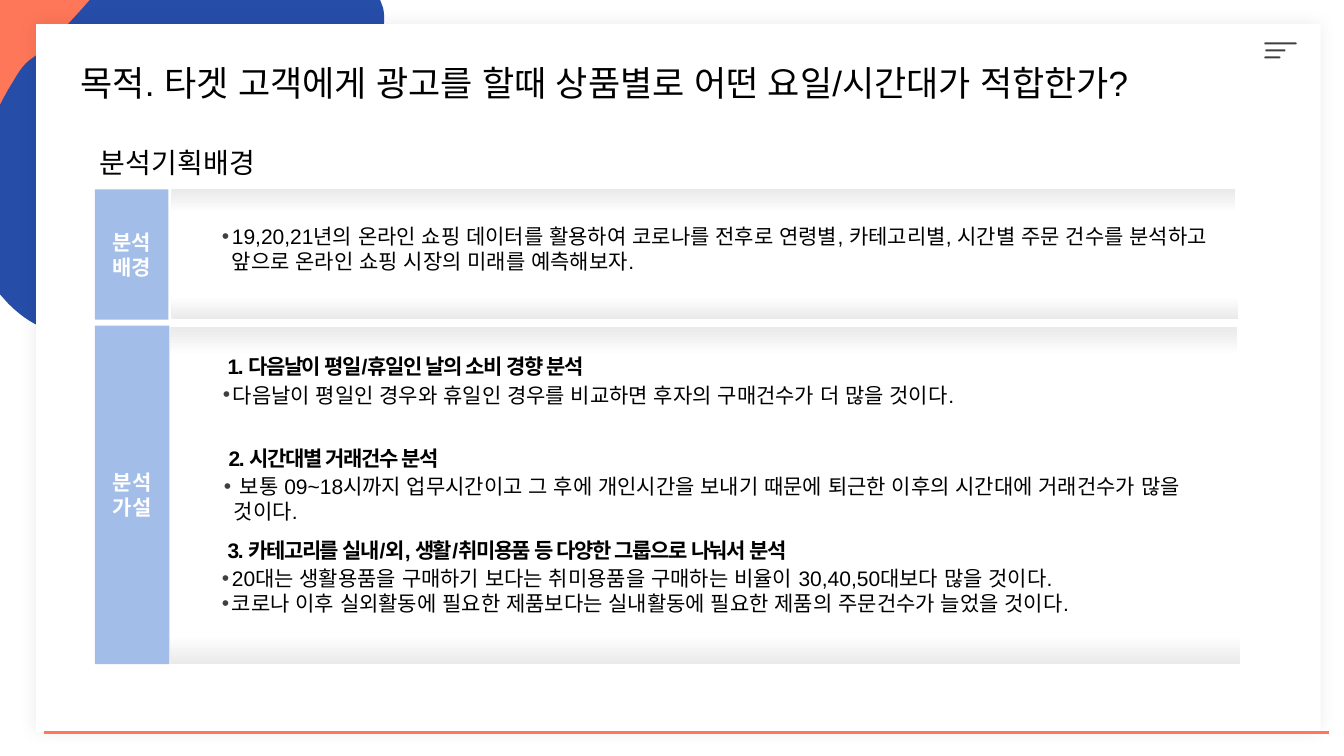
"""Build the slide on the background and hypotheses of a shopping analysis."""
from dataclasses import dataclass

from lxml.etree import SubElement
from pptx import Presentation
from pptx.dml.color import RGBColor
from pptx.enum.shapes import MSO_CONNECTOR as CONNECTOR, MSO_SHAPE as SHAPE
from pptx.enum.text import MSO_ANCHOR as ANCHOR, MSO_AUTO_SIZE as AUTO_SIZE, PP_ALIGN as ALIGN
from pptx.oxml.ns import qn
from pptx.util import Pt

PX = 9144


@dataclass(frozen=True)
class Theme:
    font: str = "Arial"
    text: str = "000000"
    white: str = "FFFFFF"
    bullet: str = "3F3F3F"
    menu: str = "404040"
    orange: str = "FE7759"
    blue: str = "264DA8"
    label: str = "A2BDE8"
    band: str = "EAEAEA"
    title_size: int = 25
    heading_size: int = 20
    body_size: int = 15


THEME = Theme()

TITLE = ("목적. 타겟 고객에게 광고를 할때 상품별로 어떤 요일/시간대가 적합한가?", (70, 56, 1160, 52))
HEADING = ("분석기획배경", (89, 139, 1142, 44))
LISTS = [
    (["19,20,21년의 온라인 쇼핑 데이터를 활용하여 코로나를 전후로 연령별, 카테고리별, 시간별 주문 건수를 "
      "분석하고 앞으로 온라인 쇼핑 시장의 미래를 예측해보자."], (220, 222, 1013, 85), 2.7),
    (["다음날이 평일인 경우와 휴일인 경우를 비교하면 후자의 구매건수가 더 많을 것이다."], (221, 379, 1009, 45), 0),
    ([" 보통 09~18시까지 업무시간이고 그 후에 개인시간을 보내기 때문에 퇴근한 이후의 시간대에 "
      "거래건수가 많을 것이다."], (222, 470, 1004, 45), 0),
    (["20대는 생활용품을 구매하기 보다는 취미용품을 구매하는 비율이 30,40,50대보다 많을 것이다.",
      "코로나 이후 실외활동에 필요한 제품보다는 실내활동에 필요한 제품의 주문건수가 늘었을 것이다."],
     (220, 561, 1004, 96), 0),
]
HYPOTHESES = [
    ("1. 다음날이 평일/휴일인 날의 소비 경향 분석", (216, 346, 817, 35)),
    ("2. 시간대별 거래건수 분석", (217, 437, 814, 35)),
    ("3. 카테고리를 실내/외, 생활/취미용품 등 다양한 그룹으로 나눠서 분석", (216, 528, 1009, 35)),
]
SECTIONS = [
    (["분석", "배경"], (94, 188, 73, 129), [(170, 188, 1055, 24), (170, 294, 1058, 23)]),
    (["분석", "가설"], (94, 323, 74, 336), [(169, 324, 1058, 29), (169, 630, 1061, 29)]),
]
CARD = (36, 24, 1274, 702)
MENU_BARS = [(1254, 42, 32, 2), (1255, 49, 20, 2), (1254, 56, 16, 2)]
BASELINE = (44, 727, 1318, 727)
BLOBS = [
    (THEME.orange, (-1, 0), [
        [(177, 0)], [(178, 3)], [(179, 6), (179, 8), (179, 11)],
        [(176, 55), (72, 150), (30, 181)], [(5, 200), (3, 202), (0, 200)], [(-1, 200)]]),
    (THEME.blue, (89, 0), [
        [(377, 0)], [(380, 8)], [(381, 13), (381, 17), (381, 21)],
        [(377, 85), (221, 227), (160, 273)], [(99, 319), (147, 332), (84, 333)],
        [(45, 333), (23, 316), (8, 301)], [(-1, 291)], [(-1, 106)],
        [(4, 96), (9, 87), (13, 81)], [(27, 56), (31, 61), (44, 48)],
        [(56, 36), (64, 28), (82, 8)]]),
]


def scaled(box):
    return [value * PX for value in box]


def rgb(colour):
    return RGBColor.from_string(colour)


def assign(target, values):
    for name, value in values.items():
        setattr(target, name, value)


def paint(shape, colour):
    shape.shadow.inherit = False
    shape.line.fill.background()
    shape.fill.solid()
    shape.fill.fore_color.rgb = rgb(colour)


def add_box(slide, box, colour, kind=SHAPE.RECTANGLE):
    shape = slide.shapes.add_shape(kind, *scaled(box))
    paint(shape, colour)
    return shape


def place(shape, box):
    assign(shape, dict(zip(("left", "top", "width", "height"), scaled(box))))
    shape.element.getparent().append(shape.element)


def write(shape, lines, size, bold=False, colour=THEME.text, align=ALIGN.LEFT,
          anchor=ANCHOR.TOP, inset=(10, 5), before=0):
    frame = shape.text_frame
    side, end = scaled(inset)
    assign(frame, {"word_wrap": True, "auto_size": AUTO_SIZE.NONE, "vertical_anchor": anchor,
                   "margin_left": side, "margin_right": side,
                   "margin_top": end, "margin_bottom": end})
    frame.text = "\n".join(lines)
    for paragraph in frame.paragraphs:
        assign(paragraph, {"alignment": align, "space_before": Pt(before)})
        for run in paragraph.runs:
            assign(run.font, {"name": THEME.font, "size": Pt(size), "bold": bold})
            run.font.color.rgb = rgb(colour)
            SubElement(run.font._element, qn("a:ea"), typeface=THEME.font)
    return frame.paragraphs


def add_bullet(paragraph):
    properties = paragraph._p.get_or_add_pPr()
    for name, value in {"marL": 10 * PX, "indent": -10 * PX}.items():
        properties.set(name, str(value))
    colour = SubElement(properties, qn("a:buClr"))
    SubElement(colour, qn("a:srgbClr"), val=THEME.bullet)
    SubElement(properties, qn("a:buFont"), typeface=THEME.font)
    SubElement(properties, qn("a:buChar"), char="•")


def add_blob(slide, colour, start, segments):
    builder = slide.shapes.build_freeform(*scaled(start), scale=1.0)
    builder.add_line_segments([scaled(point) for segment in segments for point in segment], close=True)
    shape = builder.convert_to_shape()
    paint(shape, colour)
    corners = iter(list(shape.element.iter(qn("a:lnTo"))))
    for segment in segments:
        steps = [next(corners) for _ in segment]
        if len(steps) == 3:
            steps[0].addprevious(curve := SubElement(steps[0].getparent(), qn("a:cubicBezTo")))
            for step in steps:
                curve.append(step[0])
                step.getparent().remove(step)


def add_backdrop(slide):
    for blob in BLOBS:
        add_blob(slide, *blob)
    card = add_box(slide, CARD, THEME.white)
    effects = card.element.spPr.find(qn("a:effectLst"))
    shadow = SubElement(effects, qn("a:outerShdw"), blurRad=str(Pt(12)), dist="0", algn="ctr")
    tint = SubElement(shadow, qn("a:srgbClr"), val=THEME.text)
    SubElement(tint, qn("a:alpha"), val="7000")
    for box in MENU_BARS:
        add_box(slide, box, THEME.menu, SHAPE.ROUNDED_RECTANGLE).adjustments[0] = 0.5
    line = slide.shapes.add_connector(CONNECTOR.STRAIGHT, *scaled(BASELINE))
    line.line.width = Pt(2)
    line.line.color.rgb = rgb(THEME.orange)
    SubElement(line.element.spPr, qn("a:effectLst"))


def add_section(slide, words, box, bands):
    label = add_box(slide, box, THEME.label)
    write(label, words, THEME.body_size, True, THEME.white, ALIGN.CENTER, ANCHOR.MIDDLE, (0, 0))
    for band, angle in zip(bands, (270, 90)):
        fill = add_box(slide, band, THEME.band).fill
        fill.gradient()
        fill.gradient_angle = angle
        for stop, position, colour in zip(fill.gradient_stops, (0, 1), (THEME.band, THEME.white)):
            stop.position = position
            stop.color.rgb = rgb(colour)


def main():
    presentation = Presentation()
    assign(presentation, {"slide_width": 1333 * PX, "slide_height": 750 * PX})
    slide = presentation.slides.add_slide(presentation.slide_layouts[4])
    title, heading, *bodies = slide.placeholders
    add_backdrop(slide)
    for shape, (text, box), size in ((title, TITLE, THEME.title_size),
                                     (heading, HEADING, THEME.heading_size)):
        place(shape, box)
        write(shape, [text], size)
    for section in SECTIONS:
        add_section(slide, *section)
    bodies.append(slide.shapes.add_textbox(0, 0, PX, PX))
    for body, (lines, box, before) in zip(bodies, LISTS):
        place(body, box)
        for paragraph in write(body, lines, THEME.body_size, inset=(0, 0), before=before):
            add_bullet(paragraph)
    for text, box in HYPOTHESES:
        shape = slide.shapes.add_textbox(*scaled(box))
        for paragraph in write(shape, [text], THEME.body_size, bold=True):
            paragraph.runs[0].font._element.set("spc", "-100")
    presentation.save("out.pptx")


if __name__ == "__main__":
    main()
